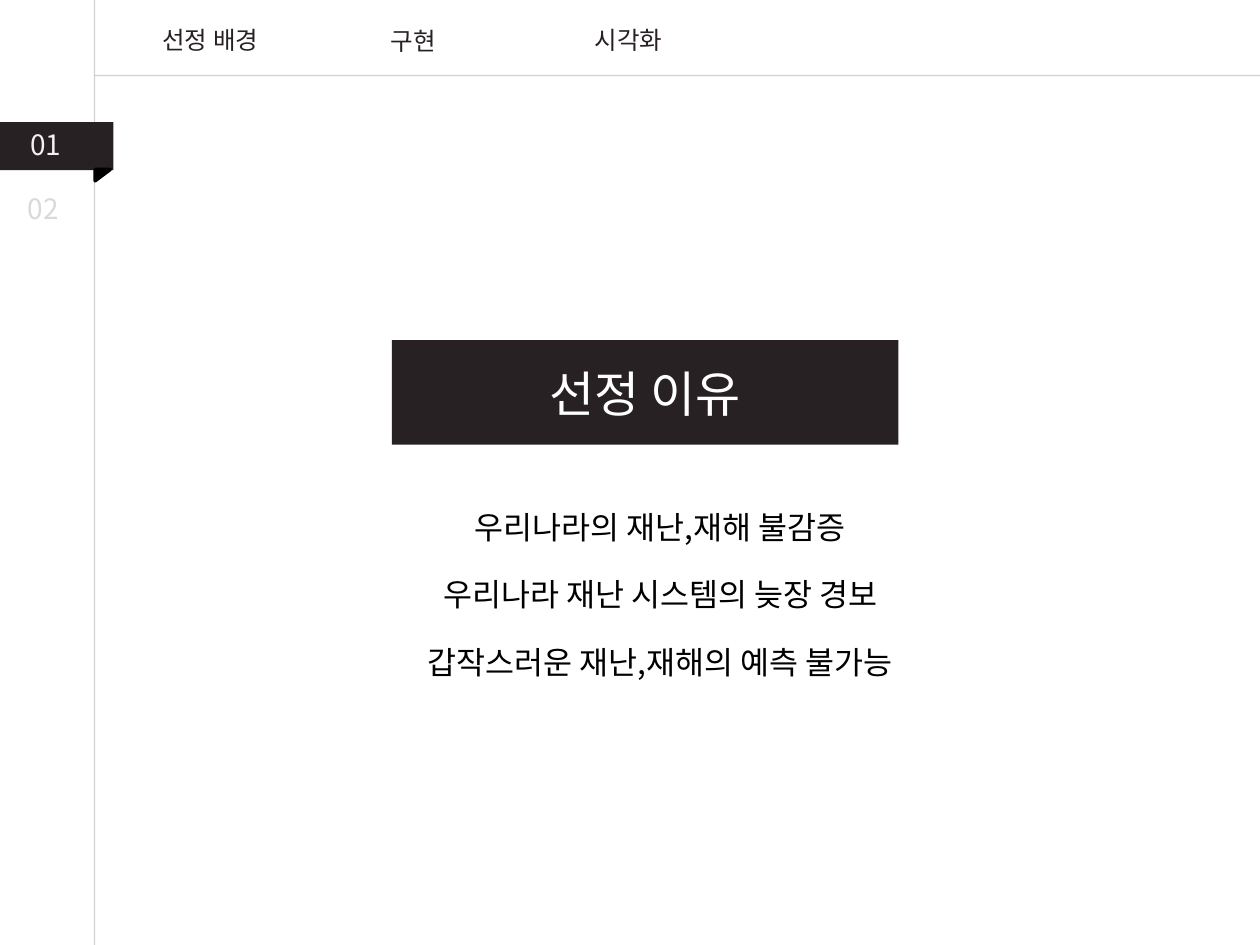
from lxml.etree import SubElement
from pptx import Presentation
from pptx.dml.color import RGBColor
from pptx.enum.shapes import MSO_CONNECTOR, MSO_SHAPE
from pptx.enum.text import MSO_ANCHOR, PP_ALIGN
from pptx.oxml.ns import qn
from pptx.util import Inches, Pt

FONT = "Noto Sans CJK KR"
DARK, BLACK, WHITE = "272123", "000000", "FFFFFF"
WIDTH, HEIGHT = 10, 7.5
RULE_X, RULE_Y = 0.75, 0.6

TITLE = "선정 이유"
REASONS = [
    "우리나라의 재난,재해 불감증",
    "우리나라 재난 시스템의 늦장 경보",
    "갑작스러운 재난,재해의 예측 불가능",
]
# text, left, top, width
MENU = [
    ("선정 배경", 1.14, 0.15, 1.06),
    ("구현", 2.75, 0.16, 1.06),
    ("시각화", 4.35, 0.15, 1.28),
]
# text, left, top, width, colour
PAGE_NUMBERS = [
    ("01", 0.14, 0.96, 0.59, "F2F2F2"),
    ("02", 0.12, 1.47, 0.61, "D9D9D9"),
]


def colour(value):
    return RGBColor.from_string(value)


def write(frame, lines, size, text_colour, align, gap=0):
    """Fill a text frame with one paragraph per line, gap points apart."""
    frame.word_wrap = True
    for index, line in enumerate(lines):
        para = frame.paragraphs[0] if index == 0 else frame.add_paragraph()
        para.alignment = align
        para.space_before = Pt(gap if index else 0)
        span = para.add_run()
        span.text = line
        span.font.name = FONT
        span.font.size = Pt(size)
        span.font.color.rgb = colour(text_colour)
        SubElement(span.font._element, qn("a:ea")).set("typeface", FONT)


def add_text(page, area, lines, size, text_colour, align=PP_ALIGN.CENTER, gap=0):
    box = page.shapes.add_textbox(*map(Inches, area))
    write(box.text_frame, lines, size, text_colour, align, gap)
    return box


def add_block(page, kind, area, fill):
    block = page.shapes.add_shape(kind, *map(Inches, area))
    block.shadow.inherit = False
    block.fill.solid()
    block.fill.fore_color.rgb = colour(fill)
    block.line.fill.background()
    return block


def add_rule(page, *ends):
    """Draw a thin, half-transparent grey line."""
    rule = page.shapes.add_connector(MSO_CONNECTOR.STRAIGHT, *map(Inches, ends))
    rule.line.width = Pt(0.75)
    rule.line.color.rgb = colour("A6A6A6")
    properties = rule._element.spPr
    tint = next(properties.iter(qn("a:srgbClr")))
    SubElement(tint, qn("a:alpha")).set("val", "50000")
    SubElement(properties, qn("a:effectLst"))


def add_title(page):
    title = page.shapes.title
    title.left, title.top, title.width, title.height = map(
        Inches, (3.11, 2.7, 4.02, 0.83))
    title.fill.solid()
    title.fill.fore_color.rgb = colour(DARK)
    title.text_frame.vertical_anchor = MSO_ANCHOR.MIDDLE
    write(title.text_frame, [TITLE], 28, WHITE, PP_ALIGN.CENTER)


def add_ribbon(page):
    add_block(page, MSO_SHAPE.RECTANGLE, (0, 0.97, 0.9, 0.38), DARK)
    fold = add_block(page, MSO_SHAPE.RIGHT_TRIANGLE, (0.77, 1.33, 0.09, 0.12), BLACK)
    fold.rotation = 90
    fold.line.width = Pt(2)
    fold.line.color.rgb = colour(BLACK)


def main():
    deck = Presentation()
    deck.slide_width, deck.slide_height = Inches(WIDTH), Inches(HEIGHT)
    page = deck.slides.add_slide(deck.slide_layouts[5])

    add_title(page)
    reasons = add_text(page, (2.09, 3.73, 6.3, 2.22), REASONS, 18, BLACK, gap=17)
    reasons.text_frame.margin_top = Inches(0.3)

    add_rule(page, RULE_X, 0, RULE_X, HEIGHT)
    add_rule(page, WIDTH, RULE_Y, RULE_X, RULE_Y)
    for text, left, top, width in MENU:
        add_text(page, (left, top, width, 0.34), [text], 14, DARK)

    add_ribbon(page)
    for text, left, top, width, shade in PAGE_NUMBERS:
        add_text(page, (left, top, width, 0.37), [text], 16, shade, PP_ALIGN.LEFT)

    deck.save("out.pptx")


if __name__ == "__main__":
    main()
